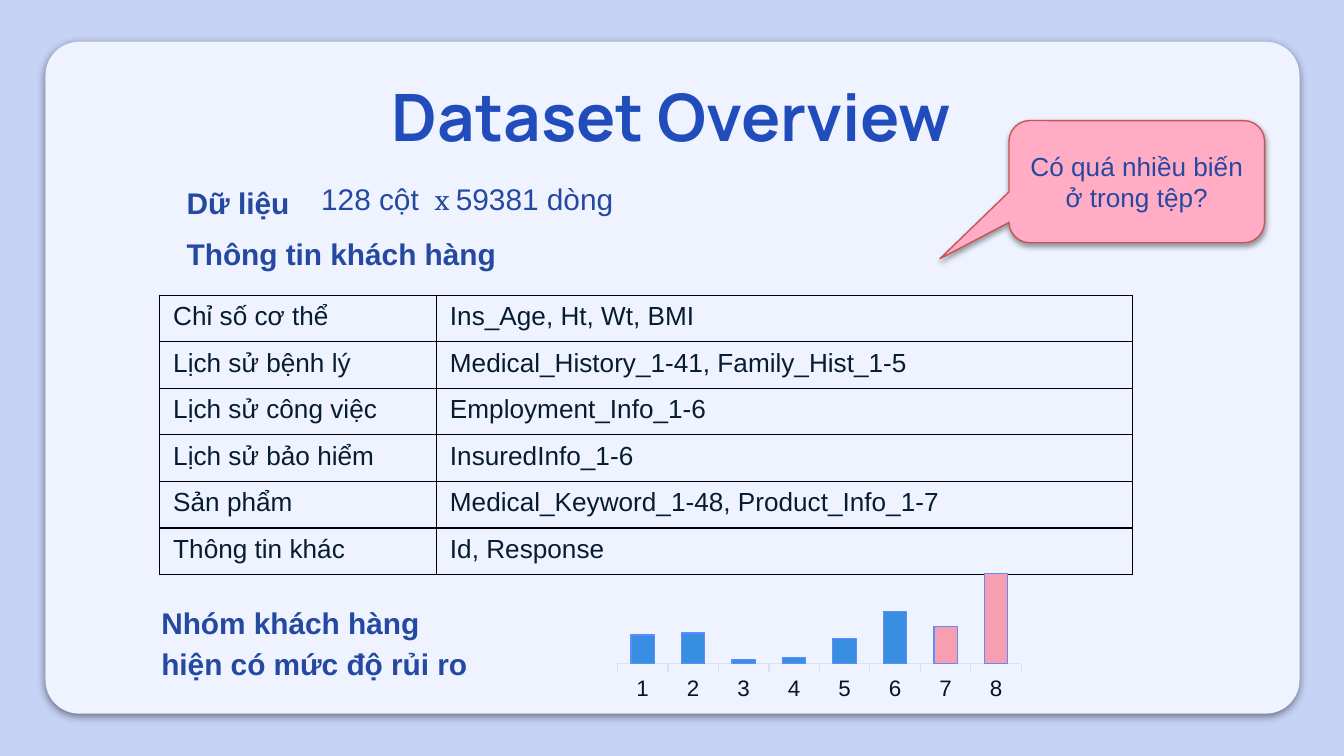
from lxml.etree import SubElement
from pptx import Presentation
from pptx.chart.data import CategoryChartData
from pptx.dml.color import RGBColor
from pptx.enum.chart import XL_CHART_TYPE, XL_TICK_LABEL_POSITION, XL_TICK_MARK
from pptx.enum.shapes import MSO_SHAPE
from pptx.enum.text import MSO_ANCHOR, PP_ALIGN
from pptx.oxml import parse_xml
from pptx.oxml.ns import nsdecls, qn
from pptx.util import Cm, Pt

HUES = {
    "back": "C6D3F5", "panel": "EEF3FF", "title": "214CBC", "text": "2549A1",
    "cell": "071C30", "grid": "000000", "call": "FFACC4", "edge": "C75555",
    "bar": "388FE2", "risk": "F79EB0", "rim": "5E8CFF", "axis": "D9E1F6",
    "label": "051524",
}
HEAD = {"name": "Manrope", "size": Pt(35), "bold": True}
BOLD = {"name": "Arial", "size": Pt(16), "bold": True}
BODY = {"name": "Arial", "size": Pt(16)}
MATH = {"name": "Cambria", "size": Pt(16)}
SMALL = {"name": "Arial", "size": Pt(14)}
TICK = {"name": "Arial", "size": Pt(12)}


def hue(name):
    return RGBColor.from_string(HUES[name])


def style(font, form, color):
    for key, value in form.items():
        setattr(font, key, value)
    font.color.rgb = hue(color)


def paint(form, fill, line=None):
    form.fill.solid()
    form.fill.fore_color.rgb = hue(fill)
    if line:
        form.line.color.rgb = hue(line)
        form.line.width = Pt(0.75)
    else:
        form.line.fill.background()


class Page:
    def __init__(self, deck):
        self.slide = deck.slides.add_slide(deck.slide_layouts[6])
        self.slide.background.fill.solid()
        self.slide.background.fill.fore_color.rgb = hue("back")

    def shape(self, kind, box, adjust, fill, line, shade):
        form = self.slide.shapes.add_shape(kind, *map(Cm, box))
        for i, value in enumerate(adjust):
            form.adjustments[i] = value
        paint(form, fill, line)
        # Soft shadow straight below
        form.shadow.inherit = False
        blur, dist, alpha = shade
        glow = SubElement(form._element.spPr.find(qn("a:effectLst")), qn("a:outerShdw"),
                          blurRad=str(Pt(blur)), dist=str(Pt(dist)),
                          dir="5400000", algn="bl", rotWithShape="0")
        ink = SubElement(glow, qn("a:srgbClr"), val=HUES["grid"])
        SubElement(ink, qn("a:alpha"), val=str(alpha * 1000))
        return form

    def text(self, box, runs, color="text", anchor=MSO_ANCHOR.TOP,
             align=PP_ALIGN.LEFT, space=1.15, tab=None):
        frame = self.slide.shapes.add_textbox(*map(Cm, box)).text_frame
        frame.word_wrap = True
        frame.vertical_anchor = anchor
        for side in ("left", "top", "right", "bottom"):
            setattr(frame, f"margin_{side}", Cm(0.25))
        para = frame.paragraphs[0]
        para.alignment, para.line_spacing = align, space
        if tab:
            stops = SubElement(para._p.get_or_add_pPr(), qn("a:tabLst"))
            SubElement(stops, qn("a:tab"), pos=str(Cm(tab)), algn="l")
        for words, form in runs:
            run = para.add_run()
            run.text = words
            style(run.font, form, color)

    def table(self, left, top, cols, high, rows):
        grid = self.slide.shapes.add_table(
            len(rows), len(cols), Cm(left), Cm(top),
            Cm(sum(cols)), Cm(high * len(rows))).table
        grid.first_row = grid.horz_banding = False
        for col, wide in zip(grid.columns, cols):
            col.width = Cm(wide)
        for y, row in enumerate(rows):
            grid.rows[y].height = Cm(high)
            for x, words in enumerate(row):
                self.cell(grid.cell(y, x), words)

    def cell(self, cell, words):
        cell.text = words
        style(cell.text_frame.paragraphs[0].runs[0].font, SMALL, "cell")
        # Borders come before the fill
        props = cell._tc.get_or_add_tcPr()
        for side in ("lnL", "lnR", "lnT", "lnB"):
            line = SubElement(props, qn(f"a:{side}"), w=str(Pt(0.75)))
            fill = SubElement(line, qn("a:solidFill"))
            SubElement(fill, qn("a:srgbClr"), val=HUES["grid"])
        cell.fill.background()

    def chart(self, box, values, risks, layout):
        data = CategoryChartData()
        data.categories = [str(i + 1) for i in range(len(values))]
        data.add_series("Series 1", values)
        chart = self.slide.shapes.add_chart(
            XL_CHART_TYPE.COLUMN_CLUSTERED, *map(Cm, box), data).chart
        chart.has_legend = chart.has_title = False
        style(chart.font, {"name": "Arial", "size": Pt(10)}, "text")

        # Bars
        plot = chart.plots[0]
        plot.gap_width, plot.overlap, plot.vary_by_categories = 116, -18, False
        bars = plot.series[0]
        paint(bars.format, "bar", "rim")
        for i in risks:
            paint(bars.points[i].format, "risk", "rim")

        # Axes
        cats, vals = chart.category_axis, chart.value_axis
        cats.major_tick_mark = XL_TICK_MARK.OUTSIDE
        cats.tick_label_position = XL_TICK_LABEL_POSITION.LOW
        cats.format.line.color.rgb = hue("axis")
        cats.format.line.width = Pt(0.75)
        style(cats.tick_labels.font, TICK, "label")
        vals.has_major_gridlines = vals.visible = False
        vals.minimum_scale, vals.maximum_scale = 0, 128

        # Inner plot area
        area = chart._chartSpace.chart.plotArea
        for old in area.findall(qn("c:layout")):
            area.remove(old)
        sizes = "".join(f'<c:{key} val="{n}"/>' for key, n in zip("xywh", layout))
        area.insert(0, parse_xml(
            f'<c:layout {nsdecls("c")}><c:manualLayout><c:layoutTarget val="inner"/>'
            f'<c:xMode val="edge"/><c:yMode val="edge"/>{sizes}'
            '</c:manualLayout></c:layout>'))


def main():
    deck = Presentation()
    deck.slide_width, deck.slide_height = Cm(25.4), Cm(14.29)
    page = Page(deck)

    # Panel and title
    page.shape(MSO_SHAPE.ROUNDED_RECTANGLE, (0.86, 0.79, 23.7, 12.7),
               [0.05], "panel", None, (4.5, 1.5, 50))
    page.text((6.45, 1.19, 12.5, 1.6), [("Dataset Overview", HEAD)], "title",
              align=PP_ALIGN.CENTER, space=1)

    # Callout
    call = page.shape(MSO_SHAPE.ROUNDED_RECTANGULAR_CALLOUT, (19.07, 2.28, 4.83, 2.31),
                      [-0.77, 0.63, 0.17], "call", "edge", (3.1, 1.6, 38))
    frame = call.text_frame
    frame.word_wrap, frame.vertical_anchor = True, MSO_ANCHOR.MIDDLE
    frame.text = "Có quá nhiều biến ở trong tệp?"
    frame.paragraphs[0].alignment = PP_ALIGN.CENTER
    style(frame.paragraphs[0].runs[0].font, SMALL, "text")

    # Headings and data size
    for box, words in [
        ((2.8, 10.93, 6.6, 2.2), "Nhóm khách hàng hiện có mức độ rủi ro"),
        ((3.28, 3.33, 6.05, 1.09), "Dữ liệu"),
        ((3.28, 4.29, 6.4, 1.09), "Thông tin khách hàng"),
    ]:
        page.text(box, [(words, BOLD)], anchor=MSO_ANCHOR.BOTTOM)
    page.text((5.82, 3.07, 6.4, 1.6),
              [("128 cột\t", BODY), ("x ", MATH), ("59381 dòng", BODY)], tab=2.15)

    # Field groups
    page.table(3.02, 5.58, (5.23, 13.16), 0.88, [
        ("Chỉ số cơ thể", "Ins_Age, Ht, Wt, BMI"),
        ("Lịch sử bệnh lý", "Medical_History_1-41, Family_Hist_1-5"),
        ("Lịch sử công việc", "Employment_Info_1-6"),
        ("Lịch sử bảo hiểm", "InsuredInfo_1-6"),
        ("Sản phẩm", "Medical_Keyword_1-48, Product_Info_1-7"),
        ("Thông tin khác", "Id, Response"),
    ])

    # Risk levels
    page.chart((10.85, 9.88, 9.09, 3.76), (32, 34, 5, 7, 28, 58, 41, 100),
               (6, 7), (0.09, 0.13, 0.84, 0.58))
    deck.save("out.pptx")


if __name__ == "__main__":
    main()
